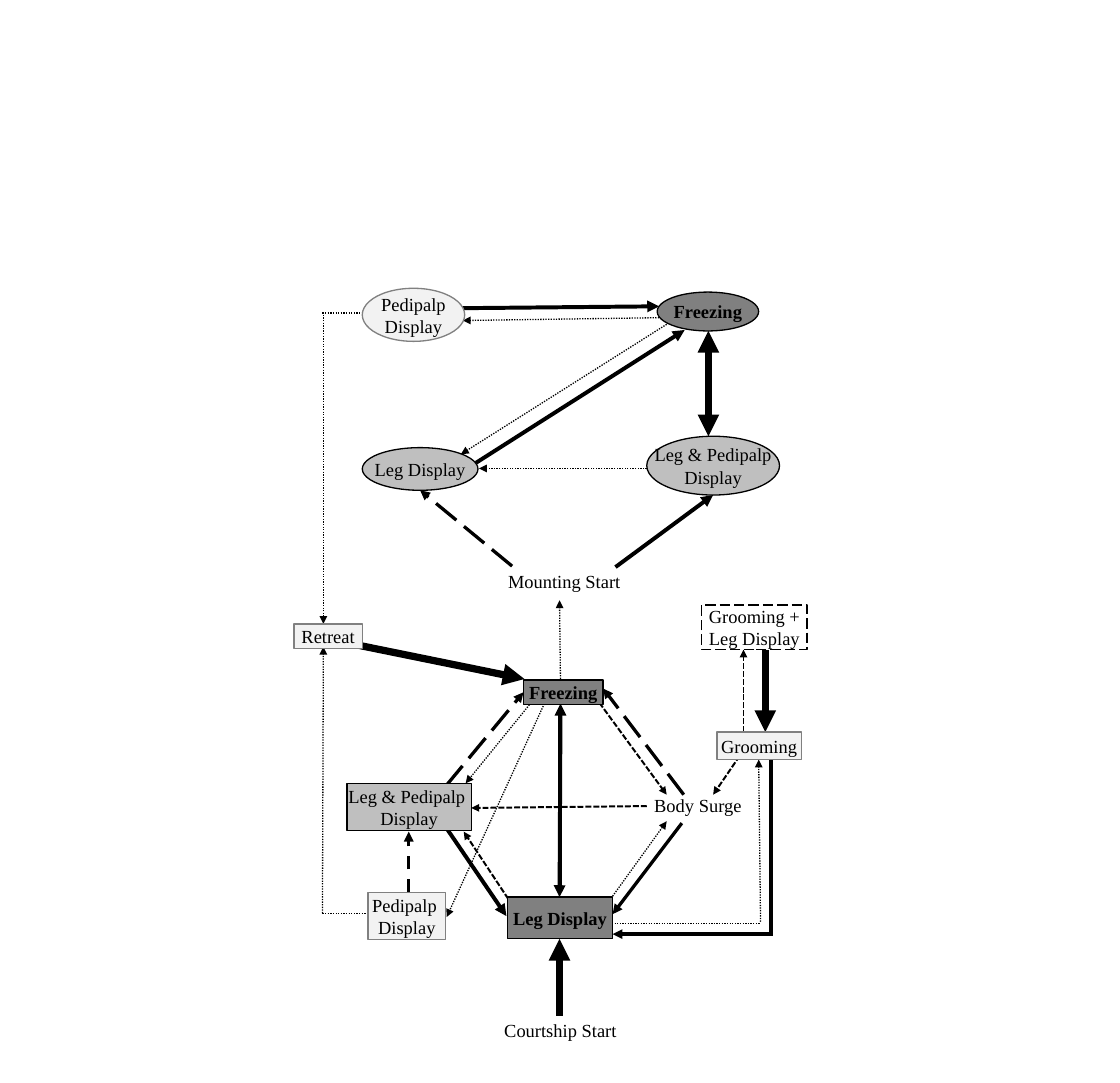
from lxml import etree
from pptx import Presentation
from pptx.dml.color import RGBColor
from pptx.enum.dml import MSO_LINE
from pptx.enum.shapes import MSO_CONNECTOR, MSO_SHAPE
from pptx.enum.text import MSO_ANCHOR, PP_ALIGN
from pptx.oxml.ns import qn
from pptx.util import Inches, Pt

STRAIGHT = MSO_CONNECTOR.STRAIGHT
OVAL, BOX = MSO_SHAPE.OVAL, MSO_SHAPE.RECTANGLE
DOTS, SHORT_DASH = MSO_LINE.ROUND_DOT, MSO_LINE.SQUARE_DOT
DASH, LONG_DASH = MSO_LINE.DASH, MSO_LINE.LONG_DASH
CENTER, MIDDLE = PP_ALIGN.CENTER, MSO_ANCHOR.MIDDLE

COLORS = {"black": "000000", "dark": "808080", "mid": "BFBFBF",
          "light": "F2F2F2", "white": "FFFFFF"}


def color(name):
    return RGBColor.from_string(COLORS[name])


def write_label(shape, text, bold):
    frame = shape.text_frame
    frame.margin_left = frame.margin_right = 0
    frame.margin_top = frame.margin_bottom = 0
    frame.word_wrap = False
    frame.vertical_anchor = MIDDLE
    frame.text = text
    for paragraph in frame.paragraphs:
        paragraph.alignment = CENTER
        font = paragraph.runs[0].font
        font.name, font.size, font.bold = "Times New Roman", Pt(14), bold
        font.color.rgb = color("black")


presentation = Presentation()
presentation.slide_width = Inches(11.81)
presentation.slide_height = Inches(11.42)
slide = presentation.slides.add_slide(presentation.slide_layouts[6])

# Transitions, grouped by strength: (width, dash, arrowhead, [(x1, y1, x2, y2)])
transitions = [
    (1, DOTS, False, [
        (3.4, 9.63, 3.91, 9.63),
        (6.48, 9.74, 8.02, 9.74),
        (3.4, 3.3, 3.82, 3.3),
    ]),
    (1, DOTS, True, [
        (5.6, 7.41, 4.91, 8.26),
        (6.95, 3.35, 4.88, 3.38),
        (7.03, 3.42, 4.86, 4.79),
        (6.46, 9.45, 7.03, 8.66),
        (5.91, 7.16, 5.9, 6.33),
        (8.02, 9.72, 8, 8.01),
        (5.74, 7.42, 4.71, 9.67),
        (6.82, 4.94, 5.05, 4.94),
        (3.4, 9.63, 3.41, 6.82),
        (3.41, 3.32, 3.41, 6.58),
    ]),
    (1.5, SHORT_DASH, True, [
        (6.32, 7.41, 7.03, 8.38),
        (5.36, 9.48, 4.89, 8.77),
        (6.82, 8.5, 4.97, 8.52),
        (7.8, 7.97, 7.52, 8.38),
        (7.84, 7.72, 7.84, 6.85),
    ]),
    (2.5, DASH, True, [(4.31, 9.41, 4.31, 8.77)]),
    (2.5, LONG_DASH, True, [
        (4.7, 8.29, 5.52, 7.3),
        (5.4, 5.97, 4.43, 5.17),
        (7.21, 8.38, 6.36, 7.26),
    ]),
    (2.5, None, False, [(8.13, 9.86, 8.13, 7.97)]),
    (2.5, None, True, [
        (7.19, 8.68, 6.46, 9.64),
        (8.15, 9.85, 6.46, 9.85),
    ]),
    (3, None, True, [
        (4.72, 8.75, 5.34, 9.66),
        (4.84, 3.25, 6.95, 3.23),
        (5.02, 4.88, 7.22, 3.48),
        (6.49, 5.98, 7.52, 5.22),
        (5.91, 9.36, 5.91, 7.42),
        (5.91, 7.54, 5.9, 9.46),
    ]),
    (5.5, None, True, [
        (7.47, 4.11, 7.47, 3.49),
        (7.47, 3.89, 7.47, 4.6),
        (5.9, 10.71, 5.9, 9.9),
        (3.12, 6.67, 5.53, 7.16),
        (8.07, 6.85, 8.07, 7.72),
    ]),
]
for width, dash, has_arrow, routes in transitions:
    for route in routes:
        connector = slide.shapes.add_connector(STRAIGHT, *map(Inches, route))
        line = connector.line
        line.color.rgb = color("black")
        line.width = Pt(width)
        if dash:
            line.dash_style = dash
        properties = connector._element.spPr
        if has_arrow:
            outline = properties.find(qn("a:ln"))
            etree.SubElement(outline, qn("a:tailEnd"), type="triangle")
        etree.SubElement(properties, qn("a:effectLst"))

# Behaviours: mounting phase in ovals, courtship phase in boxes
behaviours = [
    (OVAL, "Freezing", "dark", "black", 6.93, 3.08, 1.07, 0.41),
    (OVAL, "Leg & Pedipalp\nDisplay", "mid", "black", 6.82, 4.6, 1.4, 0.62),
    (OVAL, "Leg Display", "mid", "black", 3.82, 4.72, 1.22, 0.45),
    (OVAL, "Pedipalp\nDisplay", "light", "dark", 3.82, 3.04, 1.08, 0.56),
    (BOX, "Freezing", "dark", "black", 5.52, 7.17, 0.84, 0.26),
    (BOX, "Leg Display", "dark", "black", 5.35, 9.46, 1.11, 0.44),
    (BOX, "Pedipalp \nDisplay", "light", "dark", 3.88, 9.41, 0.82, 0.5),
    (BOX, "Leg & Pedipalp \nDisplay", "mid", "black", 3.66, 8.26, 1.31, 0.5),
    (BOX, "Grooming", "light", "dark", 7.56, 7.72, 0.89, 0.29),
    (BOX, "Grooming +\nLeg Display", "white", "black", 7.4, 6.38, 1.11, 0.47),
    (BOX, "Retreat", "light", "dark", 3.1, 6.58, 0.72, 0.26),
]
for kind, text, fill, border, *place in behaviours:
    shape = slide.shapes.add_shape(kind, *map(Inches, place))
    shape.shadow.inherit = False
    shape.fill.solid()
    shape.fill.fore_color.rgb = color(fill)
    shape.line.color.rgb = color(border)
    shape.line.width = Pt(1)
    if fill == "white":
        shape.line.dash_style = LONG_DASH
    write_label(shape, text, bold=fill == "dark")

# Free-standing labels
labels = [
    ("Mounting Start", 4.7, 5.96, 2.5),
    ("Courtship Start", 4.66, 10.69, 2.5),
    ("Body Surge", 6.16, 8.32, 2.4),
]
for text, left, top, width in labels:
    label = slide.shapes.add_textbox(
        Inches(left), Inches(top), Inches(width), Inches(0.34))
    write_label(label, text, bold=False)
    label.text_frame.word_wrap = True

presentation.save("out.pptx")
